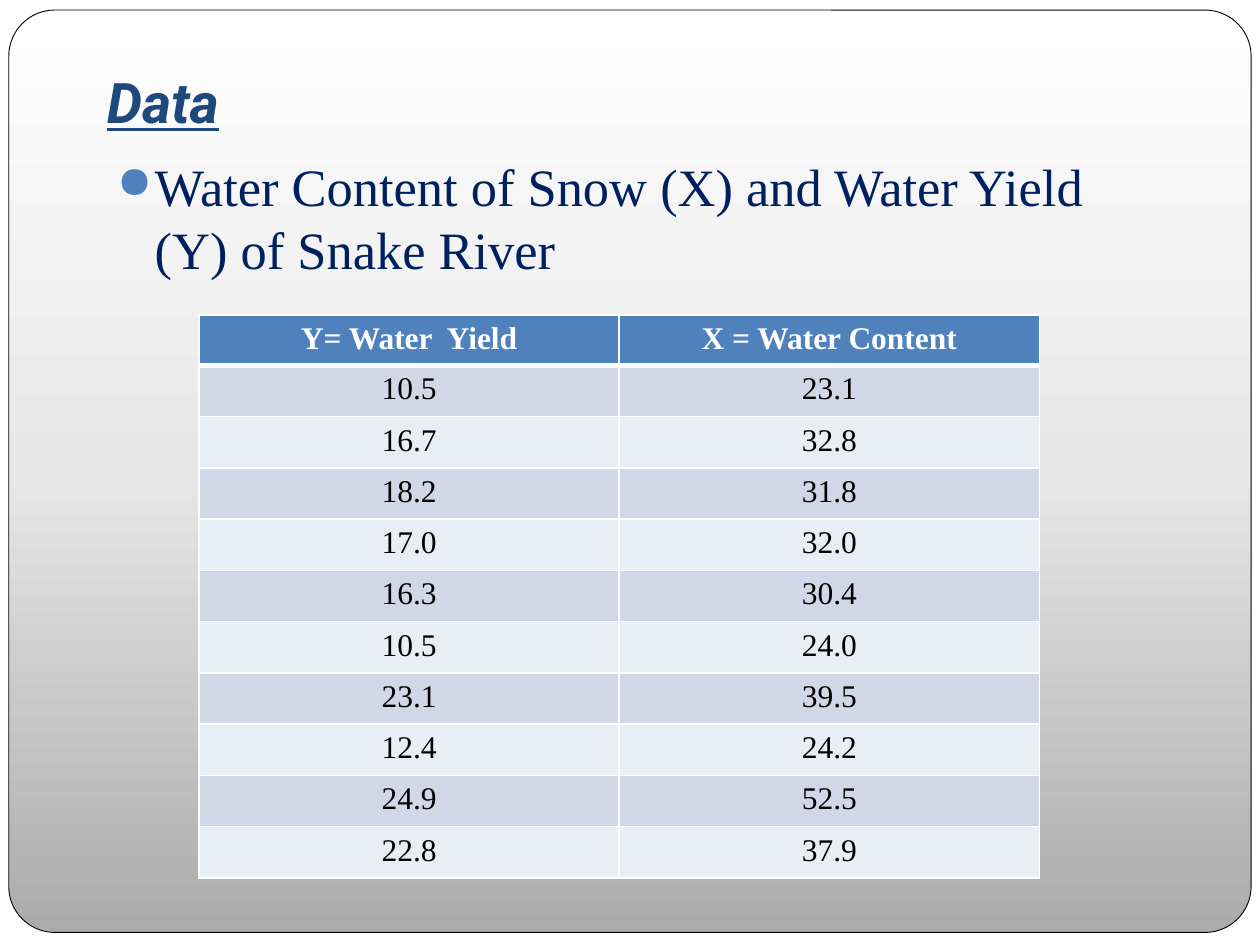
"""Build the slide with the snow water content and water yield data."""
from copy import deepcopy

from lxml import etree
from pptx import Presentation
from pptx.dml.color import RGBColor
from pptx.enum import shapes, text
from pptx.oxml.ns import qn
from pptx.util import Inches, Pt

WHITE = RGBColor(0xFF, 0xFF, 0xFF)
BLACK = RGBColor(0, 0, 0)
SILVER = RGBColor(0xAB, 0xAB, 0xAB)
PALE_GREY = RGBColor(0xE7, 0xE7, 0xE7)
TITLE_BLUE = RGBColor(0x1F, 0x49, 0x7D)
NAVY = RGBColor(0x00, 0x20, 0x60)
ACCENT = RGBColor(0x4F, 0x81, 0xBD)
BANDS = (RGBColor(0xD0, 0xD8, 0xE8), RGBColor(0xE9, 0xED, 0xF4))
SERIF = "Times New Roman"

HEADER = ("Y= Water  Yield", "X = Water Content")
DATA = (
    ("10.5", "23.1"), ("16.7", "32.8"), ("18.2", "31.8"), ("17.0", "32.0"),
    ("16.3", "30.4"), ("10.5", "24.0"), ("23.1", "39.5"), ("12.4", "24.2"),
    ("24.9", "52.5"), ("22.8", "37.9"),
)
TABLE_HEIGHT, HEADER_HEIGHT = 4.46, 0.39


def write(tf, content, size, color, font=SERIF, bold=False, italic=False,
          underline=False, align=text.PP_ALIGN.LEFT):
    """Put formatted text in the first paragraph and return the paragraph."""
    p = tf.paragraphs[0]
    p.alignment = align
    r = p.add_run()
    r.text = content
    f = r.font
    f.name, f.size, f.bold, f.italic = font, Pt(size), bold, italic
    f.underline = underline
    f.color.rgb = color
    return p


def add_panel(s, kind, left, top, width, height):
    """Add a white shape without shadow or outline."""
    sp = s.shapes.add_shape(kind, Inches(left), Inches(top),
                            Inches(width), Inches(height))
    sp.shadow.inherit = False
    sp.fill.solid()
    sp.fill.fore_color.rgb = WHITE
    sp.line.fill.background()
    return sp


def fill_gradient(sp, colors):
    """Fill a shape with evenly spaced colours, running from bottom to top."""
    sp.fill.gradient()
    sp.fill.gradient_angle = 90
    stops = sp._element.spPr.find(".//" + qn("a:gsLst"))
    while len(stops) < len(colors):
        stops.append(deepcopy(stops[0]))
    for i, (stop, color) in enumerate(zip(sp.fill.gradient_stops, colors)):
        stop.position = i / (len(colors) - 1)
        stop.color.rgb = color


def add_textbox(s, left, top, width, height, anchor):
    """Add a wrapping text box and return its text frame."""
    tf = s.shapes.add_textbox(Inches(left), Inches(top),
                              Inches(width), Inches(height)).text_frame
    tf.word_wrap = True
    tf.vertical_anchor = anchor
    return tf


def add_bullet(p, char, color, percent, indent):
    """Give a paragraph a coloured bullet with a hanging indent."""
    pPr = p._p.get_or_add_pPr()
    pPr.set("marL", str(Inches(indent)))
    pPr.set("indent", str(-Inches(indent)))
    clr = etree.SubElement(pPr, qn("a:buClr"))
    etree.SubElement(clr, qn("a:srgbClr"), val=str(color))
    etree.SubElement(pPr, qn("a:buSzPct"), val=str(percent * 1000))
    etree.SubElement(pPr, qn("a:buChar"), char=char)


def set_borders(cell, color, **widths):
    """Draw the cell borders, given as side letters L, R, T, B and points."""
    tcPr = cell._tc.get_or_add_tcPr()
    for i, (side, width) in enumerate(widths.items()):
        ln = etree.Element(qn("a:ln" + side), w=str(Pt(width)))
        fill = etree.SubElement(ln, qn("a:solidFill"))
        etree.SubElement(fill, qn("a:srgbClr"), val=str(color))
        tcPr.insert(i, ln)


def add_data_table(s, left, top, width):
    """Add the banded table of yields and water contents."""
    rows = (HEADER, *DATA)
    table = s.shapes.add_table(len(rows), len(HEADER), Inches(left), Inches(top),
                               Inches(width), Inches(TABLE_HEIGHT)).table
    row_height = (TABLE_HEIGHT - HEADER_HEIGHT) / len(DATA)
    for i, values in enumerate(rows):
        head = i == 0
        table.rows[i].height = Inches(HEADER_HEIGHT if head else row_height)
        for j, value in enumerate(values):
            cell = table.cell(i, j)
            cell.fill.solid()
            cell.fill.fore_color.rgb = ACCENT if head else BANDS[(i - 1) % 2]
            set_borders(cell, WHITE, L=1, R=1, T=3 if i == 1 else 1,
                        B=3 if head else 1)
            write(cell.text_frame, value, 18, WHITE if head else BLACK,
                  bold=head, align=text.PP_ALIGN.CENTER)


def main():
    """Build and save the slide."""
    prs = Presentation()
    prs.slide_width, prs.slide_height = Inches(10), Inches(7.5)
    s = prs.slides.add_slide(prs.slide_layouts[6])

    add_panel(s, shapes.MSO_SHAPE.RECTANGLE, 0, 0, 10, 7.5)
    frame = add_panel(s, shapes.MSO_SHAPE.ROUNDED_RECTANGLE, 0.07, 0.08, 9.86, 7.32)
    frame.adjustments[0] = 0.05
    fill_gradient(frame, (SILVER, PALE_GREY, WHITE))
    frame.line.color.rgb = BLACK
    frame.line.width = Pt(0.5)

    title = add_textbox(s, 0.75, 0.3, 8.75, 0.87, text.MSO_ANCHOR.BOTTOM)
    title.margin_bottom = Inches(0.1)
    write(title, "Data", 32, TITLE_BLUE, font="Roboto", bold=True, italic=True,
          underline=True)

    body = add_textbox(s, 0.83, 1.17, 8.5, 5.75, text.MSO_ANCHOR.TOP)
    p = write(body, "Water Content of Snow (X) and Water Yield (Y) of Snake River",
              30, NAVY)
    p.space_before = Pt(5.8)
    add_bullet(p, "●", ACCENT, 85, 0.3)

    add_data_table(s, 1.58, 2.5, 6.67)
    prs.save("out.pptx")


if __name__ == "__main__":
    main()
